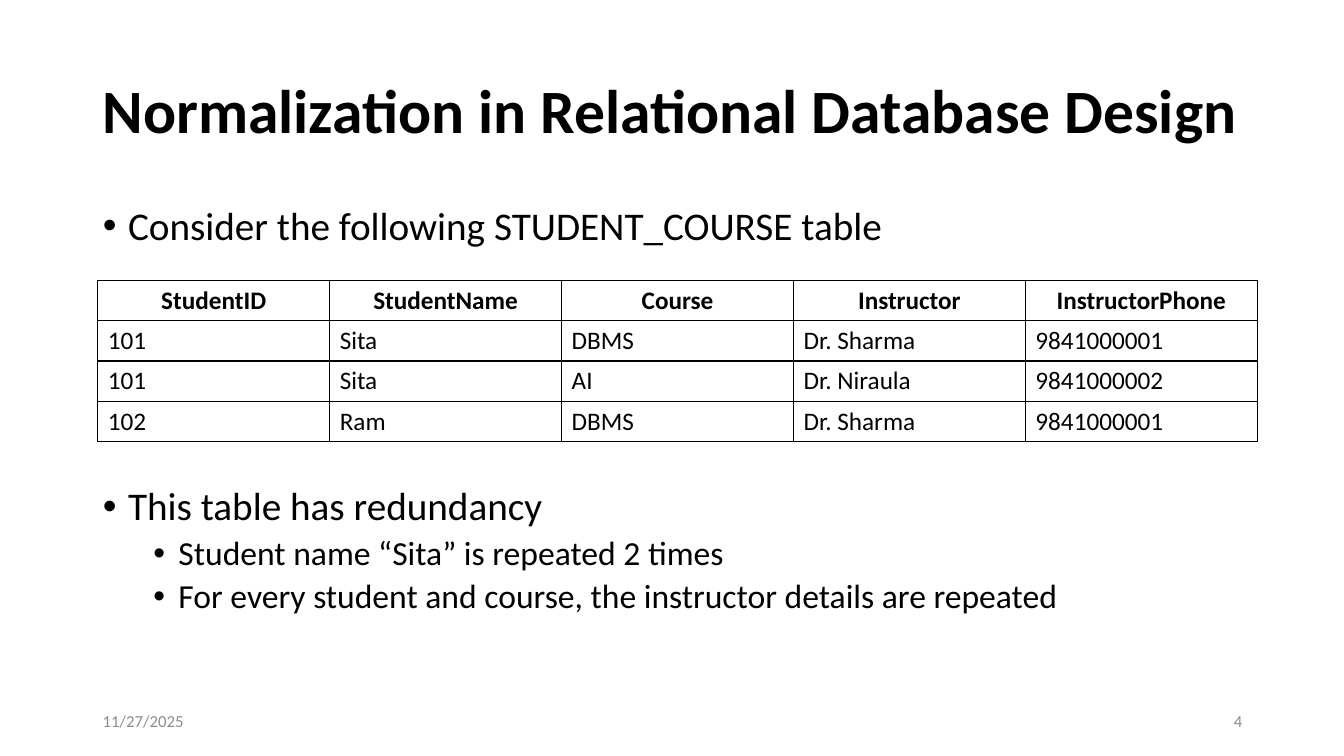
"""Build a slide on normalization with a student and course table."""
import pptx
import pptx.util
import pptx.dml.color
import pptx.enum.text
import pptx.oxml.ns
from lxml import etree

Inches, Pt = pptx.util.Inches, pptx.util.Pt
ALIGN = pptx.enum.text.PP_ALIGN
MIDDLE = pptx.enum.text.MSO_ANCHOR.MIDDLE

FONT, BLACK, GREY = "Calibri", "000000", "8C8C8C"
TITLE = "Normalization in Relational Database Design"
BULLETS = [
    ("Consider the following STUDENT_COURSE table", 0, 10),
    ("This table has redundancy", 0, 170),
    ("Student name “Sita” is repeated 2 times", 1, 5),
    ("For every student and course, the instructor details are repeated", 1, 5),
]
LEVEL_SIZES = [28, 24]
ROWS = [
    ("StudentID", "StudentName", "Course", "Instructor", "InstructorPhone"),
    ("101", "Sita", "DBMS", "Dr. Sharma", "9841000001"),
    ("101", "Sita", "AI", "Dr. Niraula", "9841000002"),
    ("102", "Ram", "DBMS", "Dr. Sharma", "9841000001"),
]
FOOTERS = [("11/27/2025", 0.92, ALIGN.LEFT), ("4", 9.42, ALIGN.RIGHT)]
LEFT, WIDTH = 0.92, 11.5
TABLE_LEFT, TABLE_TOP, ROW_HEIGHT = 0.97, 2.78, 0.4


def rgb(value):
    return pptx.dml.color.RGBColor.from_string(value)


def sub(parent, tag, **attrs):
    return etree.SubElement(parent, pptx.oxml.ns.qn(tag), attrs)


def style(p, size, color=BLACK, bold=False, align=ALIGN.LEFT):
    p.alignment = align
    p.font.name, p.font.size, p.font.bold = FONT, Pt(size), bold
    p.font.color.rgb = rgb(color)


def place(sp, left, top, width, height):
    sp.left, sp.top = Inches(left), Inches(top)
    sp.width, sp.height = Inches(width), Inches(height)


def add_title(s):
    sp = s.shapes.title
    place(sp, LEFT, 0.4, WIDTH, 1.45)
    tf = sp.text_frame
    tf.text = TITLE
    tf.vertical_anchor = MIDDLE
    tf.auto_size = pptx.enum.text.MSO_AUTO_SIZE.NONE
    p = tf.paragraphs[0]
    p.line_spacing = 0.9
    style(p, 44, bold=True)


def add_bullets(s):
    sp = s.placeholders[1]
    place(sp, LEFT, 2, WIDTH, 4.76)
    tf = sp.text_frame
    tf.text = "\n".join(text for text, _, _ in BULLETS)
    tf.auto_size = pptx.enum.text.MSO_AUTO_SIZE.NONE
    for p, (_, level, before) in zip(tf.paragraphs, BULLETS):
        p.level = level
        p.line_spacing, p.space_before = 0.9, Pt(before)
        style(p, LEVEL_SIZES[level])
        pPr = p._p.get_or_add_pPr()
        pPr.set("marL", str(Inches(0.25 + 0.5 * level)))
        pPr.set("indent", str(Inches(-0.25)))
        bullet = sub(pPr, "a:buChar", char="•")
        pPr.find(pptx.oxml.ns.qn("a:defRPr")).addprevious(bullet)


def add_borders(cell):
    tcPr = cell._tc.get_or_add_tcPr()
    for side in "LRTB":
        ln = sub(tcPr, f"a:ln{side}", w=str(Pt(1)))
        sub(sub(ln, "a:solidFill"), "a:srgbClr", val=BLACK)


def add_student_table(s):
    n_rows, n_cols = len(ROWS), len(ROWS[0])
    table = s.shapes.add_table(
        n_rows, n_cols, Inches(TABLE_LEFT), Inches(TABLE_TOP),
        Inches(WIDTH), Inches(ROW_HEIGHT * n_rows)).table
    table.horz_banding = False
    for i, row in enumerate(ROWS):
        for j, text in enumerate(row):
            cell = table.cell(i, j)
            cell.text = text
            cell.vertical_anchor = MIDDLE
            add_borders(cell)
            cell.fill.background()
            style(cell.text_frame.paragraphs[0], 18, bold=i == 0,
                  align=ALIGN.LEFT if i else ALIGN.CENTER)


def add_footers(s):
    for text, left, align in FOOTERS:
        tf = s.shapes.add_textbox(
            Inches(left), Inches(6.95), Inches(3), Inches(0.4)).text_frame
        tf.word_wrap = True
        tf.vertical_anchor = MIDDLE
        tf.text = text
        style(tf.paragraphs[0], 12, GREY, align=align)


def main():
    prs = pptx.Presentation()
    prs.slide_width, prs.slide_height = Inches(13.33), Inches(7.5)
    s = prs.slides.add_slide(prs.slide_layouts[1])
    add_title(s)
    add_bullets(s)
    add_footers(s)
    add_student_table(s)
    prs.save("out.pptx")


if __name__ == "__main__":
    main()
